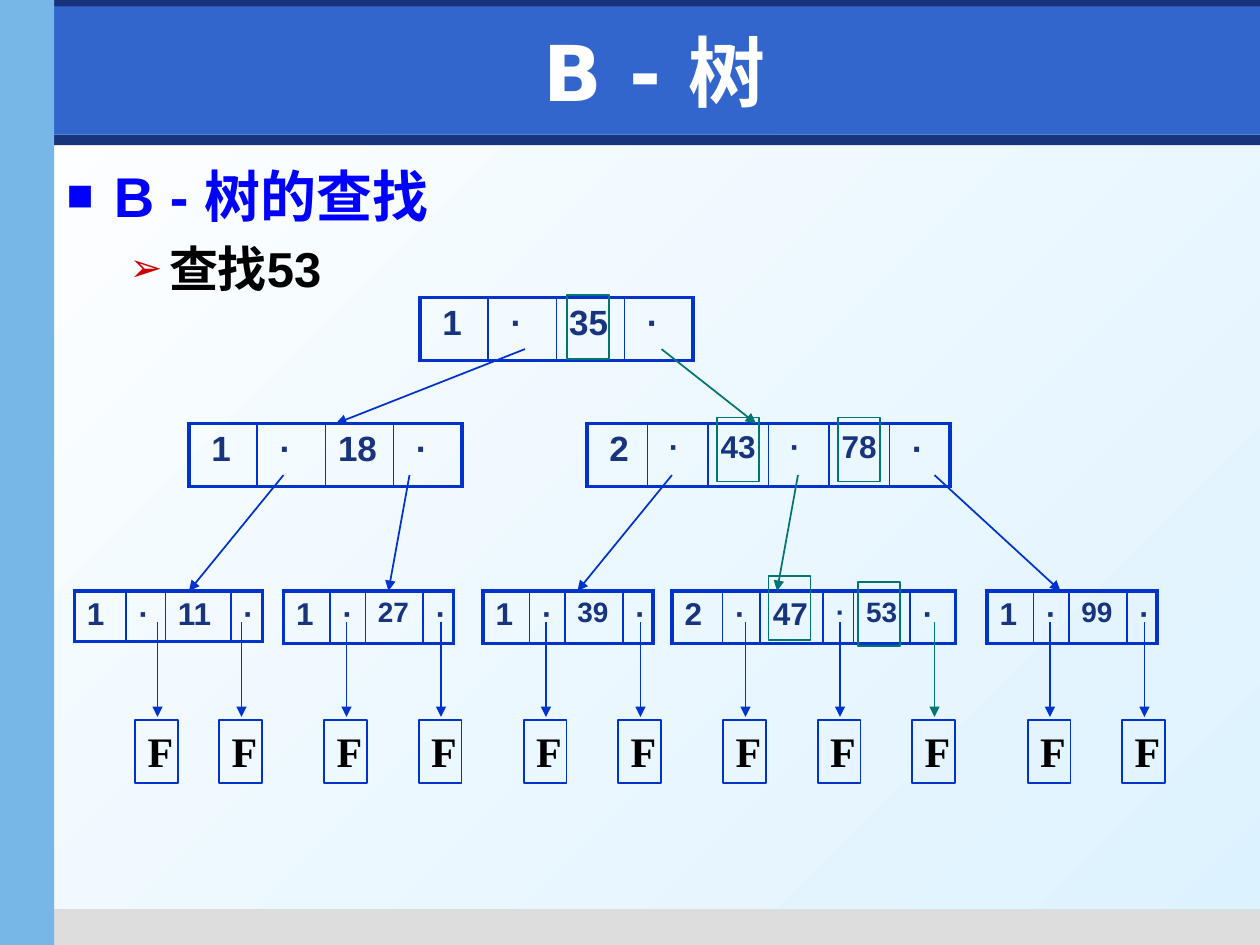
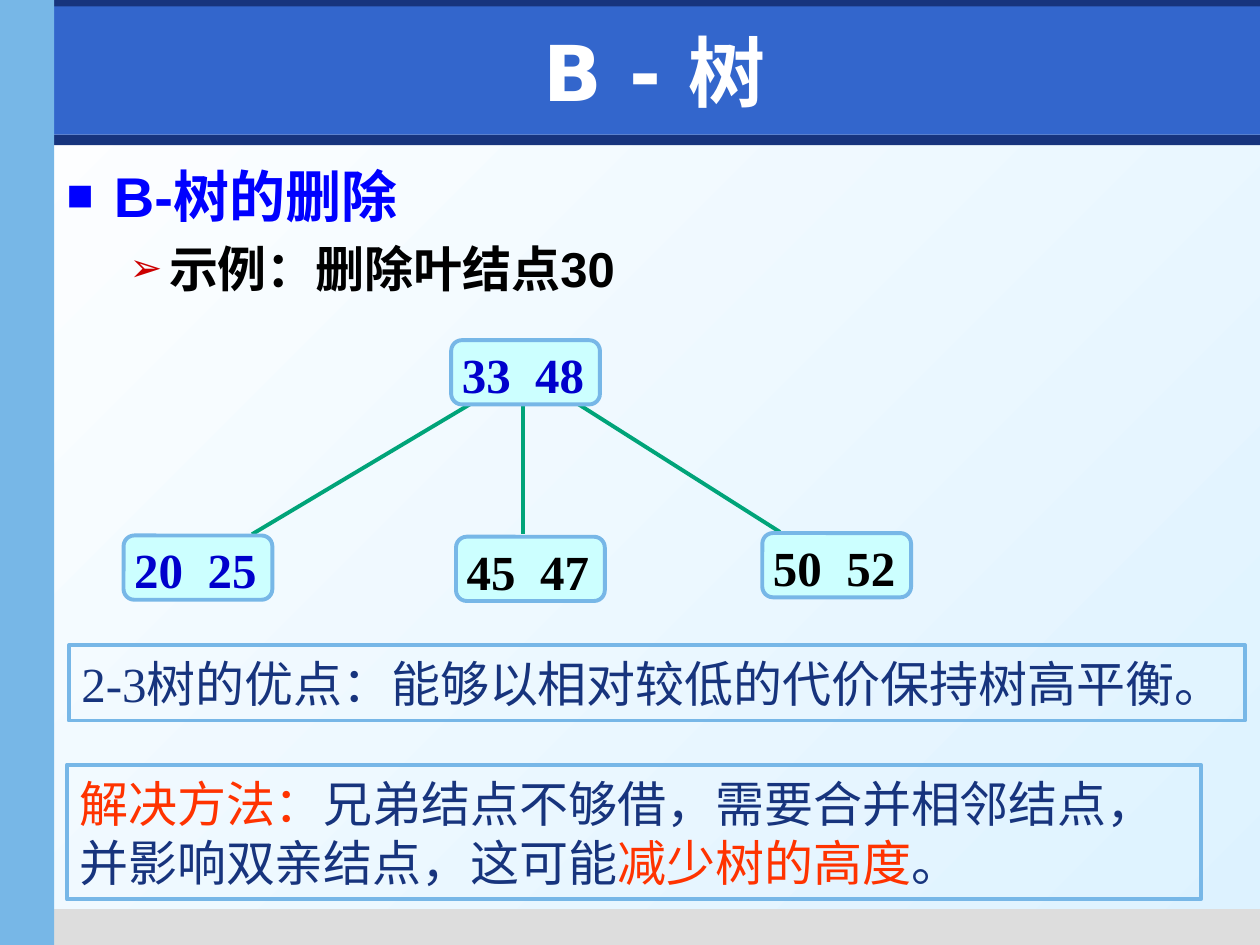
"""Build two slides on searching in and deleting from a B-tree."""
from dataclasses import dataclass
from typing import Optional

from lxml.etree import SubElement
from pptx import Presentation
from pptx.dml.color import RGBColor
from pptx.enum.shapes import MSO_CONNECTOR, MSO_SHAPE
from pptx.enum.text import MSO_ANCHOR, PP_ALIGN
from pptx.oxml.ns import qn
from pptx.util import Pt


@dataclass(frozen=True)
class Theme:
    navy: str = "17347D"
    blue: str = "3366CC"
    sky: str = "77B7E7"
    gray: str = "DDDDDD"
    white: str = "FFFFFF"
    pale: str = "DDF2FF"
    black: str = "000000"
    heading: str = "0000FF"
    red: str = "CC0000"
    orange: str = "FF3300"
    tree: str = "0033CC"
    found: str = "007572"
    mint: str = "CCFFFF"
    key: str = "0000CC"
    branch: str = "00A479"
    sans: str = "Arial"
    serif: str = "Times New Roman"
    title_font: str = "DejaVu Sans"
    title_size: int = 44
    heading_size: int = 32
    text_size: int = 28
    leaf_size: int = 24
    thin: float = 1
    thick: float = 2.25


THEME = Theme()


@dataclass(frozen=True)
class Box:
    left: float
    top: float
    width: float
    height: float

    def lengths(self):
        return Pt(self.left), Pt(self.top), Pt(self.width), Pt(self.height)


@dataclass(frozen=True)
class Style:
    size: float
    color: str
    font: str
    bold: bool = True


@dataclass(frozen=True)
class Bullet:
    character: str
    color: str
    margin: float
    indent: float


@dataclass(frozen=True)
class Node:
    left: float
    top: float
    height: float
    widths: tuple
    texts: tuple
    sizes: tuple


@dataclass(frozen=True)
class Arrow:
    start: tuple
    end: tuple
    color: str = THEME.tree


@dataclass(frozen=True)
class KeyBox:
    left: float
    top: float
    text: str
    color: str


BANDS = (
    (Box(31, 77, 689, 6), THEME.navy),
    (Box(31, 519.6, 689, 20.4), THEME.gray),
    (Box(31, 0, 689, 15), THEME.navy),
    (Box(31, 3.6, 689, 73.4), THEME.blue),
    (Box(0, 0, 31, 540), THEME.sky),
)
TITLE = Box(42.5, 9.4, 663, 62.6)
BODY = Box(31, 88.6, 674.6, 424.8)
BULLETS = (Bullet("■", THEME.heading, 27, -27), Bullet("➢", THEME.red, 58.5, -22.5))

LEVELS = (170, 242, 337.7)
PAIR_WIDTHS = (39,) * 4
LEAF_WIDTHS = (26.6, 20.2, 33.1, 16.6)
NODES = (
    Node(240, LEVELS[0], 36, PAIR_WIDTHS, (" 1", " ·", "35", " ·"), (20,) * 4),
    Node(108, LEVELS[1], 36, PAIR_WIDTHS, (" 1", " ·", "18", " ·"), (20,) * 4),
    Node(335.5, LEVELS[1], 36, (34.56,) * 6, (" 2", " ·", "43", " ·", "78", " ·"),
         (20, 18, 18, 18, 18, 20)),
    Node(42.5, LEVELS[2], 28.5, (29.5, 22.5, 37.5, 18), ("1", "·", "11", "·"), (18,) * 4),
    *(Node(left, LEVELS[2], 30.2, LEAF_WIDTHS, ("1", "·", key, "·"), (18, 18, 16, 18))
      for left, key in ((162, "27"), (276, "39"), (564, "99"))),
    Node(384, LEVELS[2], 30.2, (28.8, 21.6, 36, 17.3, 32.4, 25.9),
         ("2", "·", "47", "·", "53", "·"), (18, 18, 18, 16, 16, 18)),
)
ARROWS = (
    Arrow((300, 199.5), (192, LEVELS[1])),
    Arrow((378, 199.5), (432, LEVELS[1]), THEME.found),
    Arrow((162, 271.5), (108, LEVELS[2])),
    Arrow((234, 271.5), (222, LEVELS[2])),
    Arrow((384, 271.5), (330, LEVELS[2])),
    Arrow((456, 271.5), (444, LEVELS[2]), THEME.found),
    Arrow((534, 271.5), (606, LEVELS[2])),
)
FAILURE_CENTERS = (90, 138, 198, 252, 312, 366, 426, 480, 534, 600, 654)
MISSED_CENTER = 534
FOUND_CORNERS = ((324, 168.5), (409.7, 238.5), (479, 238.5), (439.2, 329), (490.3, 332.6))

KEY_BOXES = (
    KeyBox(260.6, 306.7, "45  47", THEME.black),
    KeyBox(435.6, 304.6, "50  52", THEME.black),
    KeyBox(257.8, 194.4, "33  48", THEME.key),
    KeyBox(70.6, 306, "20  25", THEME.key),
)
BRANCHES = (
    ((268.6, 231), (144, 305.3)),
    ((328.5, 229.7), (445.7, 304)),
    ((299, 230.5), (299, 305.3)),
)


def rgb(color: str) -> RGBColor:
    return RGBColor.from_string(color)


def apply_font(font, style: Style) -> None:
    font.size = Pt(style.size)
    font.name = style.font
    font.bold = style.bold
    font.color.rgb = rgb(style.color)


def space_before(paragraph):
    properties = paragraph._p.get_or_add_pPr()
    spacing = SubElement(properties, qn("a:spcBef"))
    SubElement(spacing, qn("a:spcPct"), val="20000")
    return properties


def add_bullet(paragraph, bullet: Bullet) -> None:
    properties = space_before(paragraph)
    properties.set("marL", str(Pt(bullet.margin)))
    properties.set("indent", str(Pt(bullet.indent)))
    SubElement(SubElement(properties, qn("a:buClr")), qn("a:srgbClr"), val=bullet.color)
    SubElement(properties, qn("a:buSzPct"), val="80000")
    SubElement(properties, qn("a:buFont"), typeface=THEME.sans)
    SubElement(properties, qn("a:buChar"), char=bullet.character)


def add_box(slide, box: Box, fill: Optional[str] = None, line: Optional[str] = None,
            weight: float = THEME.thin, kind=MSO_SHAPE.RECTANGLE):
    shape = slide.shapes.add_shape(kind, *box.lengths())
    shape.shadow.inherit = False
    if fill:
        shape.fill.solid()
        shape.fill.fore_color.rgb = rgb(fill)
    else:
        shape.fill.background()
    if line:
        shape.line.color.rgb = rgb(line)
        shape.line.width = Pt(weight)
    else:
        shape.line.fill.background()
    return shape


def write(shape, text: str, style: Style, align=PP_ALIGN.LEFT, anchor=MSO_ANCHOR.TOP):
    frame = shape.text_frame
    frame.word_wrap = True
    frame.vertical_anchor = anchor
    paragraph = frame.paragraphs[0]
    paragraph.alignment = align
    paragraph.text = text
    apply_font(paragraph.font, style)
    return frame


def add_line(slide, start: tuple, end: tuple, color: str, weight: float, arrow: bool = False) -> None:
    connector = slide.shapes.add_connector(
        MSO_CONNECTOR.STRAIGHT, *(Pt(value) for value in (*start, *end)))
    connector.line.color.rgb = rgb(color)
    connector.line.width = Pt(weight)
    if arrow:
        SubElement(connector.line._get_or_add_ln(), qn("a:tailEnd"), type="triangle")
    SubElement(connector._element.spPr, qn("a:effectLst"))


def add_border(cell, side: str, weight: float) -> None:
    line = SubElement(cell._tc.get_or_add_tcPr(), qn(f"a:ln{side}"), w=str(Pt(weight)))
    SubElement(SubElement(line, qn("a:solidFill")), qn("a:srgbClr"), val=THEME.tree)


def add_node(slide, node: Node) -> None:
    box = Box(node.left, node.top, sum(node.widths), node.height)
    table = slide.shapes.add_table(1, len(node.widths), *box.lengths()).table
    table.first_row = table.horz_banding = False
    last = len(node.widths) - 1
    for index, (width, text, size) in enumerate(zip(node.widths, node.texts, node.sizes)):
        table.columns[index].width = Pt(width)
        cell = table.cell(0, index)
        add_border(cell, "L", THEME.thick if index == 0 else THEME.thin)
        add_border(cell, "R", THEME.thick if index == last else THEME.thin)
        add_border(cell, "T", THEME.thick)
        add_border(cell, "B", THEME.thick)
        cell.fill.background()
        paragraph = cell.text_frame.paragraphs[0]
        paragraph.text = text
        space_before(paragraph)
        apply_font(paragraph.font, Style(size, THEME.navy, THEME.sans))


def add_slide(presentation, heading: str, topic: str):
    slide = presentation.slides.add_slide(presentation.slide_layouts[6])
    for box, color in BANDS:
        add_box(slide, box, fill=color)
    title = slide.shapes.add_textbox(*TITLE.lengths())
    write(title, "B - 树", Style(THEME.title_size, THEME.white, THEME.title_font),
          PP_ALIGN.CENTER, MSO_ANCHOR.MIDDLE)
    frame = slide.shapes.add_textbox(*BODY.lengths()).text_frame
    frame.word_wrap = True
    styles = (Style(THEME.heading_size, THEME.heading, THEME.sans),
              Style(THEME.text_size, THEME.black, THEME.sans))
    for level, text in enumerate((heading, topic)):
        paragraph = frame.add_paragraph() if level else frame.paragraphs[0]
        paragraph.text = text
        paragraph.level = level
        add_bullet(paragraph, BULLETS[level])
        apply_font(paragraph.font, styles[level])
    return slide


def build_search(presentation) -> None:
    slide = add_slide(presentation, "B - 树的查找", "查找53")
    for node in NODES:
        add_node(slide, node)
    for arrow in ARROWS:
        add_line(slide, arrow.start, arrow.end, arrow.color, THEME.thin, arrow=True)
    for center in FAILURE_CENTERS:
        leaf = add_box(slide, Box(center - 12.7, 411.3, 24.5, 36), line=THEME.tree)
        write(leaf, "F", Style(THEME.leaf_size, THEME.black, THEME.serif))
        color = THEME.found if center == MISSED_CENTER else THEME.tree
        add_line(slide, (center, 355.7), (center, 409.7), color, THEME.thin, arrow=True)
    for left, top in FOUND_CORNERS:
        add_box(slide, Box(left, top, 24, 36.7), line=THEME.found)


def build_deletion(presentation) -> None:
    slide = add_slide(presentation, "B-树的删除", "示例：删除叶结点30")
    for start, end in BRANCHES:
        add_line(slide, start, end, THEME.branch, THEME.thick)
    for key in KEY_BOXES:
        shape = add_box(slide, Box(key.left, key.top, 85, 36.7), THEME.mint, THEME.sky,
                        THEME.thick, MSO_SHAPE.ROUNDED_RECTANGLE)
        frame = write(shape, key.text, Style(THEME.text_size, key.color, THEME.serif),
                      PP_ALIGN.JUSTIFY)
        frame.margin_left, frame.margin_right = Pt(4.3), Pt(1.4)
        frame.margin_top = frame.margin_bottom = Pt(0.7)
    plain = Style(THEME.text_size, THEME.navy, THEME.serif, bold=False)
    remedy = add_box(slide, Box(38.2, 437, 648, 77), line=THEME.sky, weight=THEME.thick)
    paragraph = write(remedy, "", plain, anchor=MSO_ANCHOR.MIDDLE).paragraphs[0]
    for text, color in (("解决方法：", THEME.orange),
                        ("兄弟结点不够借，需要合并相邻结点，并影响双亲结点，这可能", THEME.navy),
                        ("减少树的高度", THEME.orange), ("。", THEME.navy)):
        run = paragraph.add_run()
        run.text = text
        apply_font(run.font, Style(THEME.text_size, color, THEME.serif, bold=False))
    merit = add_box(slide, Box(39.4, 368.6, 672, 43.2), line=THEME.sky, weight=THEME.thick)
    frame = write(merit, "2-3树的优点：能够以相对较低的代价保持树高平衡。", plain,
                  anchor=MSO_ANCHOR.MIDDLE)
    frame.margin_right = Pt(0)


def main() -> None:
    presentation = Presentation()
    presentation.slide_width, presentation.slide_height = Pt(720), Pt(540)
    fill = presentation.slide_master.background.fill
    fill.gradient()
    fill.gradient_angle = 315
    for stop, position, color in zip(fill.gradient_stops, (0, 1), (THEME.white, THEME.pale)):
        stop.position = position
        stop.color.rgb = rgb(color)
    build_search(presentation)
    build_deletion(presentation)
    presentation.save("out.pptx")


main()
